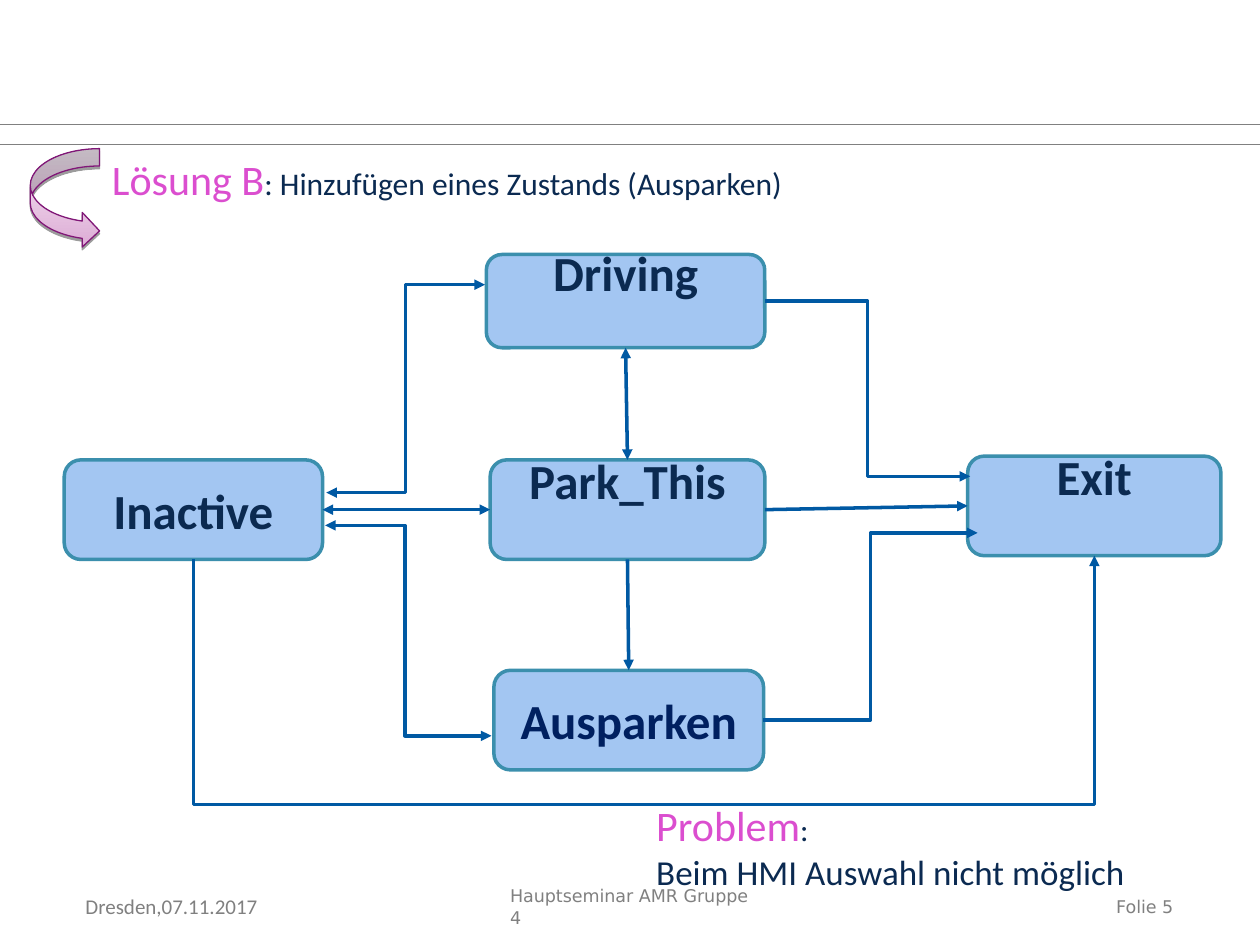
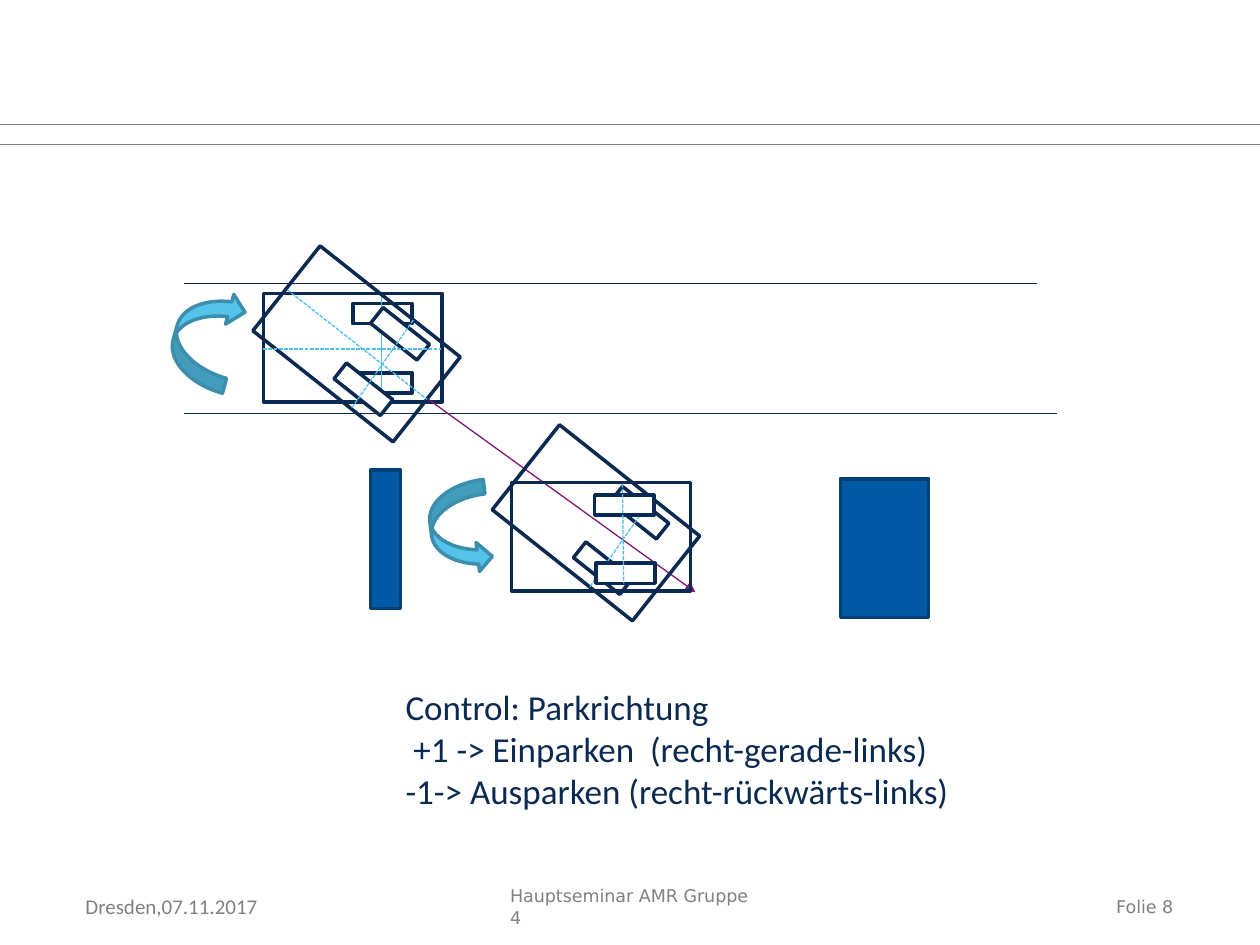
from dataclasses import dataclass

from lxml.etree import SubElement
from pptx import Presentation
from pptx.dml.color import RGBColor
from pptx.enum.dml import MSO_LINE
from pptx.enum.shapes import MSO_CONNECTOR, MSO_SHAPE
from pptx.enum.text import MSO_ANCHOR, PP_ALIGN
from pptx.oxml.ns import qn
from pptx.util import Inches, Pt


@dataclass(frozen=True)
class Theme:
    # Colours
    white: str = "FFFFFF"
    gray: str = "808080"
    navy: str = "0B2A51"
    deep_navy: str = "002060"
    lane: str = "092951"
    blue: str = "0059A3"
    blue_edge: str = "003F77"
    state: str = "A3C6F2"
    teal: str = "3B8FAD"
    sky: str = "54C3EC"
    axis: str = "4EC0EA"
    pink: str = "DB4ECF"
    purple: str = "801777"
    lilac: str = "DDACD6"
    pale_lilac: str = "F6E9F4"
    # Fonts and type sizes
    font: str = "Calibri"
    footer_font: str = "DejaVu Sans"
    footer: int = 10
    date: int = 12
    small: int = 18
    body: int = 20
    lead: int = 24
    label: int = 28
    # Line widths
    hair: float = 0.5
    thin: float = 0.75
    thick: float = 2


THEME = Theme()
TILT = 38.4
CAR_SIZE = (1.42, 0.86)
WHEEL_SIZE = (0.47, 0.16)
TILTED_WHEELS = ((0.82, 0.27), (0.53, 0.71))


def rgb(color):
    return RGBColor.from_string(color)


def inches(*lengths):
    return [Inches(length) for length in lengths]


# Text
def add_runs(paragraph, runs, font=THEME.font, bold=False):
    for text, size, color in runs:
        run = paragraph.add_run()
        run.text = text
        run.font.name = font
        run.font.size = Pt(size)
        run.font.bold = bold
        run.font.color.rgb = rgb(color)


def add_text(slide, box, lines, font=THEME.font, align=PP_ALIGN.LEFT,
             anchor=MSO_ANCHOR.TOP):
    frame = slide.shapes.add_textbox(*inches(*box)).text_frame
    frame.word_wrap = True
    frame.vertical_anchor = anchor
    for index, runs in enumerate(lines):
        paragraph = frame.add_paragraph() if index else frame.paragraphs[0]
        paragraph.alignment = align
        add_runs(paragraph, runs, font)


# Shapes
def add_block(slide, kind, box, fill, edge, width=THEME.thick, angle=0):
    block = slide.shapes.add_shape(kind, *inches(*box))
    block.shadow.inherit = False
    block.rotation = angle
    if fill:
        block.fill.solid()
        block.fill.fore_color.rgb = rgb(fill)
    else:
        block.fill.background()
    block.line.color.rgb = rgb(edge)
    block.line.width = Pt(width)
    return block


def add_state(slide, name, box, color=THEME.navy, raised=False):
    state = add_block(slide, MSO_SHAPE.ROUNDED_RECTANGLE, box, THEME.state, THEME.teal)
    frame = state.text_frame
    frame.word_wrap = True
    frame.vertical_anchor = MSO_ANCHOR.MIDDLE
    if raised:
        frame.margin_bottom = Inches(0.52)
    frame.paragraphs[0].alignment = PP_ALIGN.CENTER
    add_runs(frame.paragraphs[0], [(name, THEME.label, color)], bold=True)
    return state


def add_turn_arrow(slide, box):
    arrow = add_block(slide, MSO_SHAPE.CURVED_RIGHT_ARROW, box, THEME.lilac,
                      THEME.purple, THEME.thin)
    arrow.fill.gradient()
    arrow.fill.gradient_angle = 90
    for stop, color in zip(arrow.fill.gradient_stops, (THEME.lilac, THEME.pale_lilac)):
        stop.color.rgb = rgb(color)
    effects = arrow._element.spPr.find(qn("a:effectLst"))
    shadow = SubElement(effects, qn("a:outerShdw"), blurRad="0",
                        dist=str(Pt(1.6)), dir="5400000", rotWithShape="0")
    black = SubElement(shadow, qn("a:srgbClr"), val="000000")
    SubElement(black, qn("a:alpha"), val="38000")


# Lines and arrows
def add_line(slide, start, end, color, width, head=False, tail=False,
             dashed=False, kind=MSO_CONNECTOR.STRAIGHT):
    line = slide.shapes.add_connector(kind, *inches(*start, *end))
    line.line.color.rgb = rgb(color)
    line.line.width = Pt(width)
    if dashed:
        line.line.dash_style = MSO_LINE.SQUARE_DOT
    properties = line._element.spPr
    stroke = properties.find(qn("a:ln"))
    for wanted, tag in ((head, "a:headEnd"), (tail, "a:tailEnd")):
        if wanted:
            SubElement(stroke, qn(tag), type="triangle")
    SubElement(properties, qn("a:effectLst"))
    return line


def add_transition(slide, source, source_side, target, target_side, both=False):
    arrow = add_line(slide, (0, 0), (1, 1), THEME.blue, THEME.thick, both, True)
    arrow.begin_connect(source, source_side)
    arrow.end_connect(target, target_side)


def add_elbow(slide, start, end, both=False):
    return add_line(slide, start, end, THEME.blue, THEME.thick, both, True,
                    kind=MSO_CONNECTOR.ELBOW)


def bend_at(elbow, share):
    guides = elbow._element.spPr.find(qn("a:prstGeom")).find(qn("a:avLst"))
    SubElement(guides, qn("a:gd"), name="adj1", fmla=f"val {round(share * 100000)}")


def add_loop_below(slide, source, target, depth):
    """Join two bottom sides by a quarter-turned elbow that dips by depth."""
    loop = add_elbow(slide, (0, 0), (1, 1))
    loop.begin_connect(source, 2)
    loop.end_connect(target, 2)
    start_x, start_y, end_x, end_y = loop.begin_x, loop.begin_y, loop.end_x, loop.end_y
    span, drop = end_x - start_x, start_y - end_y
    loop.width, loop.height = drop, span
    loop.left = (start_x + end_x - drop) // 2
    loop.top = (start_y + end_y - span) // 2
    frame = loop._element.spPr.find(qn("a:xfrm"))
    for name, value in (("rot", "5400000"), ("flipH", "1"), ("flipV", "1")):
        frame.set(name, value)
    bend_at(loop, -Inches(depth) / drop)


# Cars
def add_car(slide, left, top, wheels, angle=0, fill=None):
    def part(dx, dy, size, color):
        add_block(slide, MSO_SHAPE.RECTANGLE, (left + dx, top + dy, *size),
                  color, THEME.navy, angle=angle)

    part(0, 0, CAR_SIZE, fill)
    for dx, dy in wheels:
        part(dx, dy, WHEEL_SIZE, THEME.white)


def add_axis(slide, start, end, dashed=True):
    add_line(slide, start, end, THEME.axis, THEME.thin, dashed=dashed)


# Shared page frame
def add_page(deck, number):
    slide = deck.slides.add_slide(deck.slide_layouts[6])
    for y in (0.99, 1.15):
        add_line(slide, (0, y), (10, y), THEME.gray, THEME.hair)
    add_text(slide, (0.58, 7.04, 1.75, 0.3),
             [[("Dresden,07.11.2017", THEME.date, THEME.gray)]])
    add_text(slide, (3.95, 7.06, 2.11, 0.27),
             [[("Hauptseminar AMR Gruppe 4", THEME.footer, THEME.gray)]],
             THEME.footer_font, anchor=MSO_ANCHOR.MIDDLE)
    add_text(slide, (7.52, 7.06, 1.89, 0.29),
             [[(f"Folie {number}", THEME.footer, THEME.gray)]],
             THEME.footer_font, PP_ALIGN.RIGHT)
    return slide


def build_state_machine(deck):
    slide = add_page(deck, 5)
    add_text(slide, (0.79, 1.17, 7.4, 0.5), [[
        ("Lösung B", THEME.lead, THEME.pink),
        (": Hinzufügen eines Zustands (Ausparken)", THEME.small, THEME.navy)]])

    # States
    inactive = add_state(slide, "Inactive", (0.51, 3.65, 2.05, 0.79))
    park_this = add_state(slide, "Park_This", (3.89, 3.65, 2.18, 0.79), raised=True)
    driving = add_state(slide, "Driving", (3.86, 2.02, 2.21, 0.74), raised=True)
    leave = add_state(slide, "Exit", (7.68, 3.62, 2.01, 0.79), raised=True)
    ausparken = add_state(slide, "Ausparken", (3.92, 5.32, 2.14, 0.79), THEME.deep_navy)

    # Transitions
    add_elbow(slide, (2.59, 3.91), (3.85, 2.26), both=True)
    add_transition(slide, driving, 2, park_this, 0, both=True)
    add_transition(slide, park_this, 2, ausparken, 0)
    add_elbow(slide, (6.07, 5.72), (7.76, 4.23)).begin_connect(ausparken, 3)
    add_elbow(slide, (6.07, 2.39), (7.7, 3.78)).begin_connect(driving, 3)
    add_transition(slide, park_this, 3, leave, 1)
    add_loop_below(slide, inactive, leave, 1.95)
    bend_at(add_elbow(slide, (2.58, 4.17), (3.9, 5.84), both=True), 0.48)
    add_transition(slide, inactive, 3, park_this, 1, both=True)

    add_turn_arrow(slide, (0.24, 1.18, 0.55, 0.79))
    add_text(slide, (5.11, 6.3, 4.12, 0.84), [
        [("Problem", THEME.lead, THEME.pink), (":", THEME.small, THEME.navy)],
        [("Beim HMI Auswahl nicht möglich", THEME.body, THEME.navy)]])


def build_parking_directions(deck):
    slide = add_page(deck, 8)

    # Lane
    for y, right in ((2.25, 8.23), (3.28, 8.39)):
        add_line(slide, (1.46, y), (right, y), THEME.lane, THEME.thin)

    # Car on the lane, straight and turned
    add_car(slide, 2.09, 2.33, ((0.71, 0.08), (0.71, 0.63)), fill=THEME.white)
    add_axis(slide, (3.03, 2.33), (3.03, 3.2), dashed=False)
    add_car(slide, 2.12, 2.3, TILTED_WHEELS, TILT)
    for start, end in (((3.28, 2.54), (2.79, 3.24)), ((2.09, 2.77), (3.5, 2.77)),
                       ((2.28, 2.3), (3.39, 3.17))):
        add_axis(slide, start, end)
    add_line(slide, (3.4, 3.17), (5.52, 4.7), THEME.purple, THEME.thin, tail=True)

    # Obstacles around the gap
    for box in ((2.94, 3.73, 0.24, 1.1), (6.67, 3.8, 0.7, 1.1)):
        add_block(slide, MSO_SHAPE.RECTANGLE, box, THEME.blue, THEME.blue_edge)

    # Car in the gap, turned and straight
    add_block(slide, MSO_SHAPE.CURVED_DOWN_ARROW, (1.24, 2.43, 0.79, 0.49),
              THEME.sky, THEME.teal, angle=285.5)
    add_car(slide, 4.02, 3.72, TILTED_WHEELS, TILT)
    add_axis(slide, (5.17, 3.96), (4.68, 4.66))
    add_car(slide, 4.06, 3.83, ((0.66, 0.1), (0.67, 0.64)))
    add_axis(slide, (4.94, 3.84), (4.95, 4.63))
    add_block(slide, MSO_SHAPE.CURVED_RIGHT_ARROW, (3.42, 3.83, 0.46, 0.73),
              THEME.sky, THEME.teal, angle=353.2)

    control = ("Control: Parkrichtung", " +1 -> Einparken  (recht-gerade-links)",
               "-1-> Ausparken (recht-rückwärts-links)")
    add_text(slide, (3.12, 5.39, 5.75, 1.1),
             [[(line, THEME.body, THEME.navy)] for line in control])


def main():
    deck = Presentation()
    deck.slide_width, deck.slide_height = inches(10, 7.5)
    build_state_machine(deck)
    build_parking_directions(deck)
    deck.save("out.pptx")


if __name__ == "__main__":
    main()
